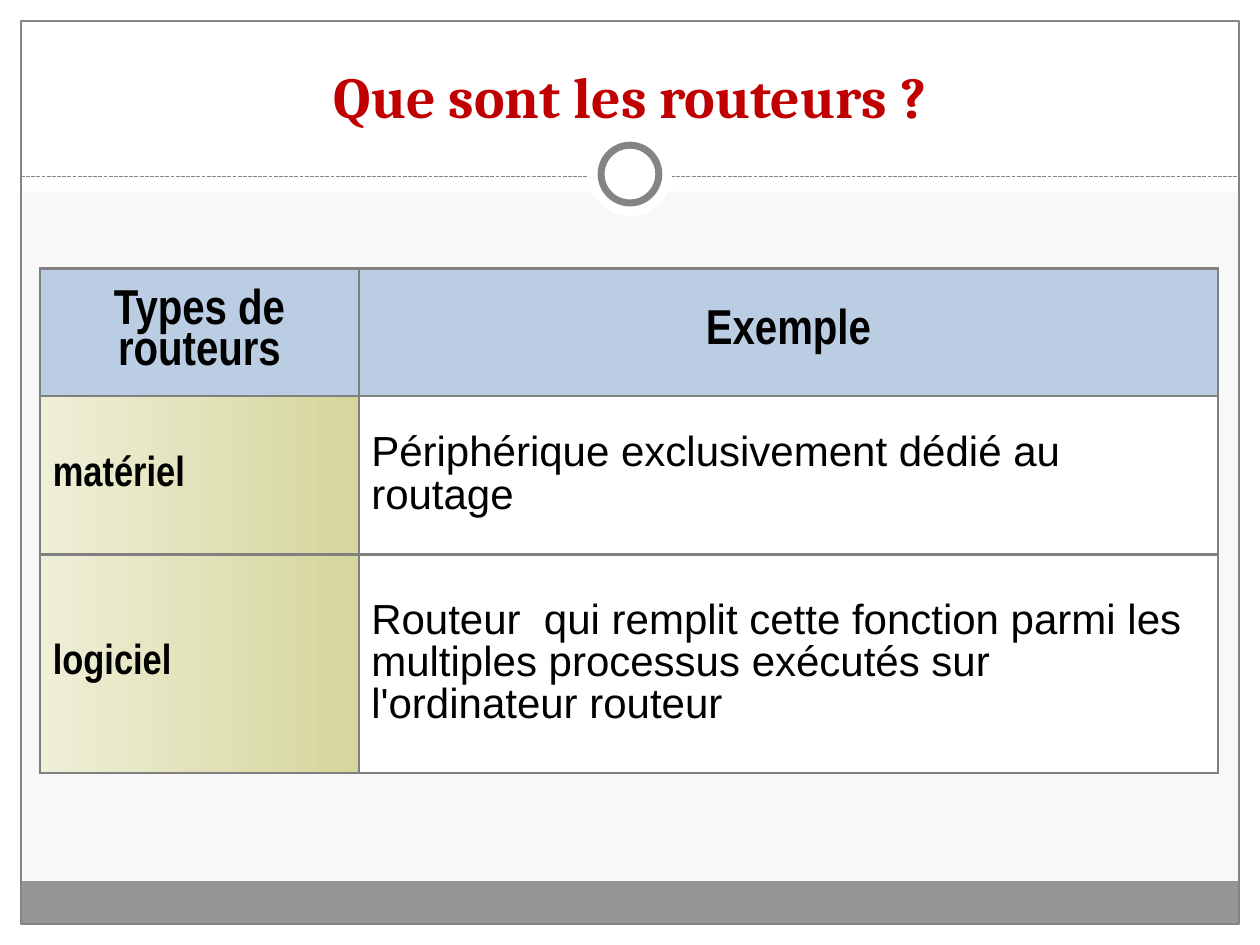
import pptx
import pptx.dml.color
import pptx.enum.dml
import pptx.enum.shapes
import pptx.enum.text
import pptx.oxml
import pptx.oxml.ns
import pptx.util

Pt = pptx.util.Pt
SHAPES = pptx.enum.shapes.MSO_SHAPE
ALIGN = pptx.enum.text.PP_ALIGN
ANCHOR = pptx.enum.text.MSO_ANCHOR

WIDTH, HEIGHT = 720, 540
MARGIN = 12
RULE_TOP = 100.8
WHITE, GREY, BLACK = "FFFFFF", "848484", "000000"
HEADER_BLUE = "BBCDE3"
LABEL_GRADIENT = ("EEEFD7", "D5D69C")

HEADER = {"name": "Arial Narrow", "size": Pt(28), "bold": True}
LABEL = {"name": "Arial Narrow", "size": Pt(24), "bold": True}
BODY = {"name": "Arial", "size": Pt(24), "bold": False}
TITLE = {"name": "Cambria", "size": Pt(33), "bold": True}

ROUTERS = [
    ("Types de routeurs", "Exemple"),
    ("matériel", "Périphérique exclusivement dédié au routage"),
    ("logiciel", "Routeur  qui remplit cette fonction parmi les multiples "
                 "processus exécutés sur l'ordinateur routeur"),
]


def color(value):
    return pptx.dml.color.RGBColor.from_string(value)


def write(para, text, font, text_color, align):
    para.alignment = align
    span = para.add_run()
    span.text = text
    for name, value in font.items():
        setattr(span.font, name, value)
    span.font.color.rgb = color(text_color)


def add_panel(page, box, fill=None, line=None, weight=0.75, kind=SHAPES.RECTANGLE):
    panel = page.shapes.add_shape(kind, *map(Pt, box))
    panel.shadow.inherit = False
    if fill:
        panel.fill.solid()
        panel.fill.fore_color.rgb = color(fill)
    else:
        panel.fill.background()
    if line:
        panel.line.color.rgb = color(line)
        panel.line.width = Pt(weight)
    else:
        panel.line.fill.background()


def add_dashed_rule(page, left, top, width):
    rule = page.shapes.add_connector(
        pptx.enum.shapes.MSO_CONNECTOR.STRAIGHT,
        Pt(left), Pt(top), Pt(left + width), Pt(top))
    rule.line.color.rgb = color(GREY)
    rule.line.width = Pt(0.75)
    rule.line.dash_style = pptx.enum.dml.MSO_LINE.SQUARE_DOT
    properties = rule.element.find(pptx.oxml.ns.qn("p:spPr"))
    properties.append(pptx.oxml.parse_xml(
        f"<a:effectLst {pptx.oxml.ns.nsdecls('a')}/>"))


def add_ring(page, center_x, center_y):
    for diameter, line in ((48, None), (33, GREY)):
        box = (center_x - diameter / 2, center_y - diameter / 2, diameter, diameter)
        add_panel(page, box, WHITE, line, 4, SHAPES.OVAL)


def add_frame(page, left, top, width, height):
    """Draw the white margins, footer band, outline, dashed rule and ring."""
    right, bottom = left + width, top + height
    for box in ((0, bottom, WIDTH, HEIGHT - bottom), (0, 0, WIDTH, 109.5),
                (0, 0, left, HEIGHT), (right, 0, WIDTH - right, HEIGHT)):
        add_panel(page, box, WHITE)
    footer_height = 24.5
    add_panel(page, (left, bottom - footer_height, width, footer_height), "969696")
    add_panel(page, (left, top, width, height), line=GREY)
    add_dashed_rule(page, left, RULE_TOP, width)
    add_ring(page, left + width / 2, RULE_TOP - 1.3)


def add_title(page, left, top, width, height, text):
    box = page.shapes.add_textbox(*map(Pt, (left, top, width, height)))
    box.text_frame.word_wrap = True
    box.text_frame.vertical_anchor = ANCHOR.BOTTOM
    write(box.text_frame.paragraphs[0], text, TITLE, "C00000", ALIGN.CENTER)


def add_borders(cell, line, weight):
    properties = cell._tc.get_or_add_tcPr()
    for side in "LRTB":
        properties.append(pptx.oxml.parse_xml(
            f'<a:ln{side} {pptx.oxml.ns.nsdecls("a")} w="{Pt(weight)}">'
            f'<a:solidFill><a:srgbClr val="{line}"/></a:solidFill></a:ln{side}>'))


def fill_cell(cell, fill):
    """Fill with one colour, or left to right with a pair of colours."""
    if isinstance(fill, str):
        cell.fill.solid()
        cell.fill.fore_color.rgb = color(fill)
        return
    cell.fill.gradient()
    cell.fill.gradient_angle = 0
    for stop, value in zip(cell.fill.gradient_stops, fill):
        stop.color.rgb = color(value)


def add_router_table(page, left, top, column_widths, row_heights):
    size = (sum(column_widths), sum(row_heights))
    table = page.shapes.add_table(
        len(row_heights), len(column_widths), *map(Pt, (left, top, *size))).table
    for column, width in zip(table.columns, column_widths):
        column.width = Pt(width)
    for row, height in zip(table.rows, row_heights):
        row.height = Pt(height)
    for row_index, texts in enumerate(ROUTERS):
        for column_index, text in enumerate(texts):
            if row_index == 0:
                font, fill, align = HEADER, HEADER_BLUE, ALIGN.CENTER
            elif column_index == 0:
                font, fill, align = LABEL, LABEL_GRADIENT, ALIGN.LEFT
            else:
                font, fill, align = BODY, WHITE, ALIGN.LEFT
            cell = table.cell(row_index, column_index)
            cell.vertical_anchor = ANCHOR.MIDDLE
            add_borders(cell, "808080", 1.5)
            fill_cell(cell, fill)
            para = cell.text_frame.paragraphs[0]
            para.line_spacing = 0.9
            write(para, text, font, BLACK, align)


def main():
    deck = pptx.Presentation()
    deck.slide_width, deck.slide_height = Pt(WIDTH), Pt(HEIGHT)
    page = deck.slides.add_slide(deck.slide_layouts[6])
    page.background.fill.solid()
    page.background.fill.fore_color.rgb = color("F8F8F8")
    add_frame(page, MARGIN, MARGIN, WIDTH - 2 * MARGIN, HEIGHT - 2 * MARGIN)
    add_title(page, 24, 18, WIDTH - 48, 60, "Que sont les routeurs ?")
    add_router_table(page, 23, 153.4, (182, 491), (73, 90.5, 125))
    deck.save("out.pptx")


if __name__ == "__main__":
    main()
